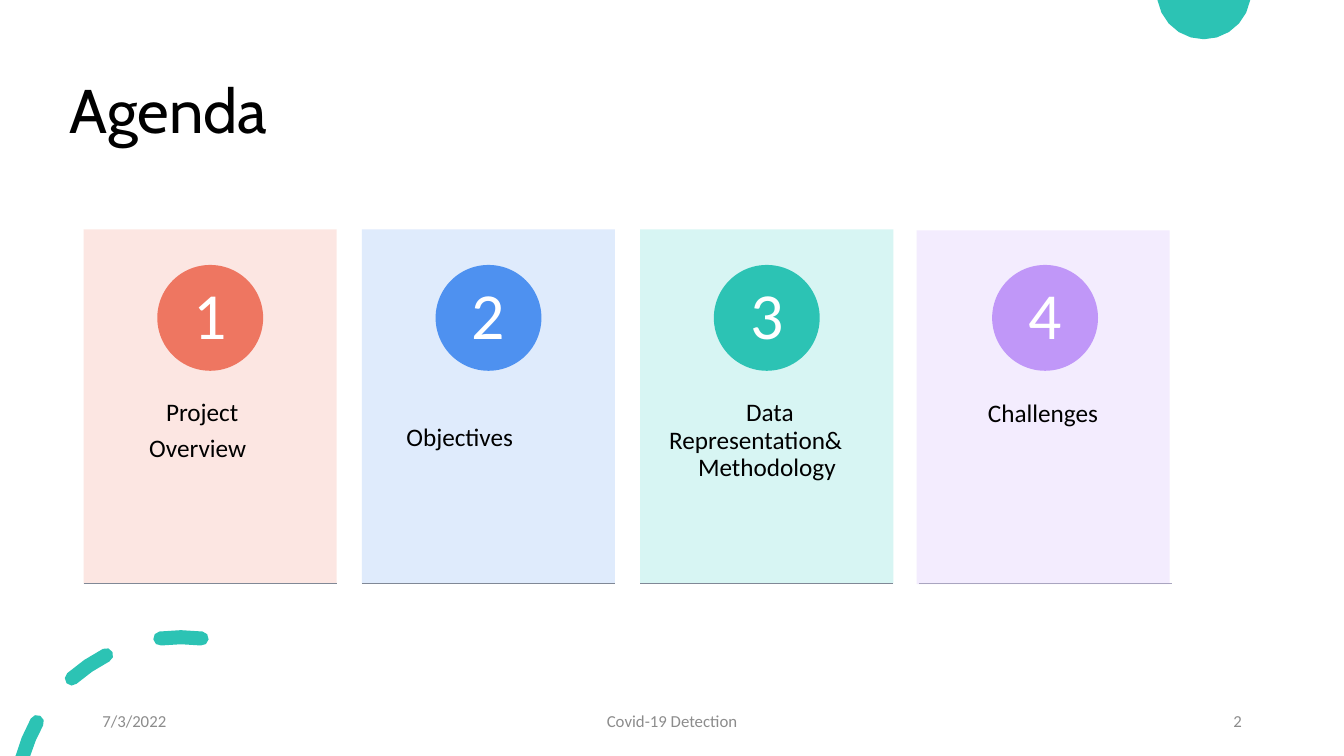
from math import cos, radians, sin
from lxml.etree import SubElement
from pptx import Presentation
from pptx.dml.color import RGBColor
from pptx.enum.shapes import MSO_CONNECTOR, MSO_SHAPE
from pptx.enum.text import MSO_ANCHOR, MSO_AUTO_SIZE, PP_ALIGN
from pptx.oxml.ns import qn
from pptx.util import Inches, Pt

ROWS = 45
HEIGHT = Inches(7.5)
LEFT, CENTER, RIGHT = PP_ALIGN.LEFT, PP_ALIGN.CENTER, PP_ALIGN.RIGHT
TEAL, BLACK, WHITE, GRAY = "2CC3B4", "000000", "FFFFFF", "8C8C8C"


def cell(count):
    return round(count * HEIGHT / ROWS)


def paint(target, color):
    target.rgb = RGBColor.from_string(color)


def spot(mid, radius, angle):
    turn = radians(angle)
    return mid[0] - radius * sin(turn), mid[1] - radius * cos(turn)


def arc(mid, radius, start, end, steps):
    return [spot(mid, radius, start + (end - start) * i / steps)
            for i in range(steps + 1)]


def dash(mid, radius, half, start, end):
    center = (start + end) / 2
    return (arc(spot(mid, radius, end), half, end, end + 180, 4)
            + [spot(mid, radius - half, center)]
            + arc(spot(mid, radius, start), half, start + 180, start + 360, 4)
            + [spot(mid, radius + half, center)])


class Deck:
    """Holds the style and the current slide, measured in square grid cells."""

    def __init__(self):
        self.file = Presentation()
        self.file.slide_width = Inches(13.33)
        self.file.slide_height = HEIGHT
        self.slide = self.file.slides.add_slide(self.file.slide_layouts[5])
        self.shapes = self.slide.shapes

    def fill(self, shape, color, alpha=100):
        shape.shadow.inherit = False
        shape.line.fill.background()
        shape.fill.solid()
        paint(shape.fill.fore_color, color)
        if alpha < 100:
            tint = shape.fill._xPr.find(qn("a:solidFill"))[0]
            SubElement(tint, qn("a:alpha")).set("val", str(alpha * 1000))

    def shape(self, kind, x, y, w, h, color, alpha=100):
        item = self.shapes.add_shape(kind, *map(cell, (x, y, w, h)))
        self.fill(item, color, alpha)
        return item

    def outline(self, loops, color):
        pen = None
        for loop in loops:
            points = [(cell(x), cell(y)) for x, y in loop]
            if pen:
                pen.move_to(*points[0])
            else:
                pen = self.shapes.build_freeform(*points[0])
            pen.add_line_segments(points[1:], close=True)
        self.fill(pen.convert_to_shape(), color)

    def line(self, x, y, w, color):
        rule = self.shapes.add_connector(
            MSO_CONNECTOR.STRAIGHT, *map(cell, (x, y, x + w, y)))
        paint(rule.line.color, color)
        rule.line.width = Pt(0.75)
        SubElement(rule._element.spPr, qn("a:effectLst"))

    def style(self, para, size, color, align, font="Calibri", gap=0.9):
        para.alignment = align
        para.line_spacing = gap
        para.font.size = Pt(size)
        para.font.name = font
        paint(para.font.color, color)

    def title(self, text, x, y, w, h):
        head = self.shapes.title
        head.left, head.top, head.width, head.height = map(cell, (x, y, w, h))
        head.text_frame.text = text
        head.text_frame.vertical_anchor = MSO_ANCHOR.MIDDLE
        self.style(head.text_frame.paragraphs[0], 44, BLACK, LEFT, "Cabin")

    def badge(self, text, x, y, size, color):
        frame = self.shape(MSO_SHAPE.OVAL, x, y, size, size, color).text_frame
        frame.margin_left = frame.margin_right = cell(0.48)
        frame.margin_top = frame.margin_bottom = cell(0.06)
        frame.vertical_anchor = MSO_ANCHOR.MIDDLE
        frame.text = text
        self.style(frame.paragraphs[0], 47, WHITE, CENTER)

    def frame(self, text, x, y, w, h, anchor):
        frame = self.shapes.add_textbox(*map(cell, (x, y, w, h))).text_frame
        frame.word_wrap = True
        frame.auto_size = MSO_AUTO_SIZE.NONE
        frame.vertical_anchor = anchor
        frame.text = text
        return frame

    def label(self, lines, x, y, w, h, drop, after):
        text = "\n".join(word for word, _ in lines)
        frame = self.frame(text, x, y, w, h, MSO_ANCHOR.TOP)
        frame.margin_left = frame.margin_right = cell(1.2)
        frame.margin_top = cell(2.16 + drop)
        frame.margin_bottom = cell(2.16)
        for para, (_, inset) in zip(frame.paragraphs, lines):
            self.style(para, 18, BLACK, LEFT if inset else CENTER)
            para.space_after = Pt(after)
            if inset:
                props = para._p.get_or_add_pPr()
                props.set("marL", str(cell(inset)))
                props.set("indent", "0")

    def note(self, text, x, w, align):
        frame = self.frame(text, x, 41.7, w, 2.4, MSO_ANCHOR.MIDDLE)
        self.style(frame.paragraphs[0], 12, GRAY, align, gap=1)


STEPS = [
    ("FCE4DF", "EE7661", "808896",
     [("Project", 3.7), ("Overview", 2.7)], 0, 6.3, 0),
    ("DCE9FC", "4E91F0", "808896", [("Objectives", 1.44)], 1.44, 0, 0),
    ("D3F5F2", TEAL, "808896",
     [("Data", 5.1), ("Representation&", 0.52), ("Methodology", 2.24)], 0, 0, 0),
    ("F2EAFE", "C097F8", "A9A5C0", [("Challenges", 0)], 0, 0, 0.06),
]


def main():
    deck = Deck()
    deck.outline([arc((71.64, -0.46), 2.8, 99.5, 260.5, 10)], TEAL)
    hub, reach, half = (10.77, 47.73), 9.8, 0.42
    tail = (arc(spot(hub, reach, 61), half, 241, 421, 4)
            + arc(hub, reach + half, 68, 74.7, 1)
            + arc(hub, reach - half, 73.3, 67, 1))
    deck.outline([tail, dash(hub, reach, half, 27, 41.5),
                  dash(hub, reach, half, -7.2, 7.2)], TEAL)
    deck.title("Agenda", 3.54, 2.4, 69, 8.7)

    wide, tall, top = 15.06, 21.06, 13.66
    for i, (pale, tone, edge, lines, drop, after, shift) in enumerate(STEPS):
        x = 4.98 + 16.56 * i
        left = x - 2 * shift
        deck.shape(MSO_SHAPE.RECTANGLE, left, top + shift, wide, tall, pale, 90)
        deck.label(lines, left, 21.66 + shift, wide, 12.66, drop, after)
        deck.badge(str(i + 1), x + (wide - 6.3) / 2, 15.77, 6.3, tone)
        deck.line(x, top + tall, wide, edge)

    deck.note("7/3/2022", 5.5, 18, LEFT)
    deck.note("Covid-19 Detection", 26.5, 27, CENTER)
    deck.note("2", 56.5, 18, RIGHT)
    deck.file.save("out.pptx")


if __name__ == "__main__":
    main()
